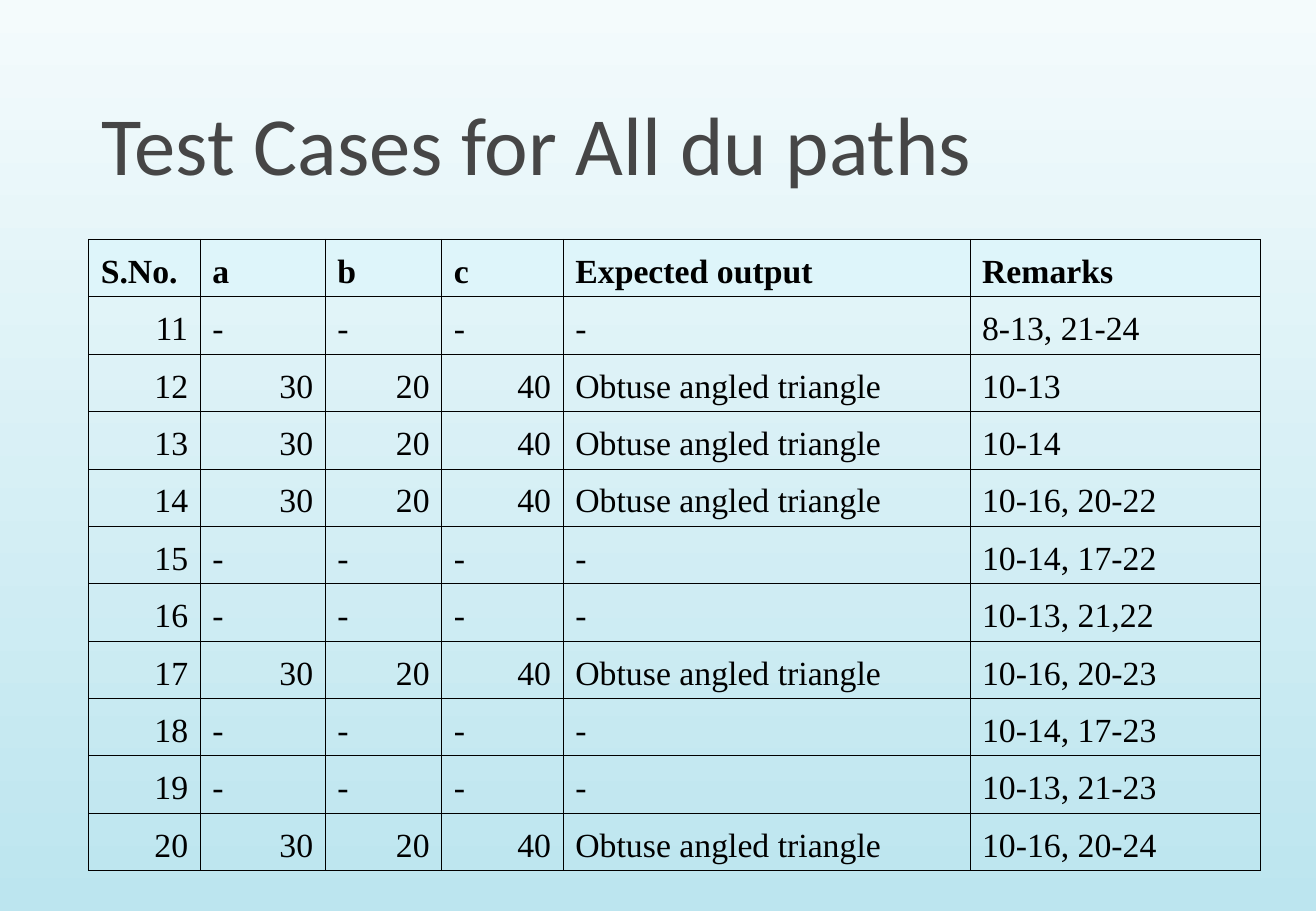
from lxml.etree import SubElement
from pptx import Presentation
from pptx.dml.color import RGBColor
from pptx.enum.text import MSO_ANCHOR, MSO_AUTO_SIZE, PP_ALIGN
from pptx.oxml.ns import qn
from pptx.util import Pt

HEAD = ["S.No.", "a", "b", "c", "Expected output", "Remarks"]
NONE = ["-"] * 4
OBTUSE = ["30", "20", "40", "Obtuse angled triangle"]
CASES = [
    (NONE, "8-13, 21-24"),
    (OBTUSE, "10-13"),
    (OBTUSE, "10-14"),
    (OBTUSE, "10-16, 20-22"),
    (NONE, "10-14, 17-22"),
    (NONE, "10-13, 21,22"),
    (OBTUSE, "10-16, 20-23"),
    (NONE, "10-14, 17-23"),
    (NONE, "10-13, 21-23"),
    (OBTUSE, "10-16, 20-24"),
]
WIDTHS = [66.24, 74.16, 69.12, 72, 241.2, 172.08]
ROW = 34.04


def color(code):
    return RGBColor.from_string(code)


def write(frame, text, font="Times New Roman", size=20, ink="000000",
          bold=False, align=PP_ALIGN.LEFT, hang=0):
    para = frame.paragraphs[0]
    para.text = text
    para.alignment = align
    if hang:
        props = para._p.get_or_add_pPr()
        props.set("marL", str(Pt(hang)))
        props.set("indent", str(-Pt(hang)))
    style = para.runs[0].font
    style.name, style.size, style.bold = font, Pt(size), bold
    style.color.rgb = color(ink)


def paint(slide, top, base):
    fill = slide.background.fill
    fill.gradient()
    fill.gradient_angle = 270
    for stop, code, pos in zip(fill.gradient_stops, (top, base), (0, 1)):
        stop.color.rgb = color(code)
        stop.position = pos


def add_title(slide, text):
    title = slide.shapes.title
    title.left, title.top = Pt(51.84), Pt(12.24)
    title.width, title.height = Pt(695.52), Pt(105.84)
    frame = title.text_frame
    frame.word_wrap = True
    frame.auto_size = MSO_AUTO_SIZE.NONE
    frame.vertical_anchor = MSO_ANCHOR.BOTTOM
    frame.margin_left = frame.margin_right = Pt(8.64)
    frame.margin_top = frame.margin_bottom = Pt(4.32)
    write(frame, text, font="Calibri", size=49, ink="464646")


def rule(cell, code="000000", width=0.45):
    props = cell._tc.get_or_add_tcPr()
    for side in ("lnL", "lnR", "lnT", "lnB"):
        line = SubElement(props, qn(f"a:{side}"), w=str(Pt(width)))
        fill = SubElement(line, qn("a:solidFill"))
        SubElement(fill, qn("a:srgbClr"), val=code)


def fill_cell(cell, text, header):
    cell.vertical_anchor = MSO_ANCHOR.BOTTOM
    cell.margin_left = cell.margin_right = Pt(7.2)
    cell.margin_top = cell.margin_bottom = Pt(3.6)
    rule(cell)
    if header:
        cell.fill.solid()
        cell.fill.fore_color.rgb = color("DEF5FA")
    else:
        cell.fill.background()
    # Numbers sit on the right, all other text on the left
    align = PP_ALIGN.RIGHT if text.isdigit() else PP_ALIGN.LEFT
    write(cell.text_frame, text, bold=header, align=align, hang=29.52)


def add_grid(slide, rows):
    frame = slide.shapes.add_table(
        len(rows), len(WIDTHS), Pt(52.56), Pt(141.84),
        Pt(sum(WIDTHS)), Pt(ROW * len(rows)))
    table = frame.table
    table.horz_banding = False
    for col, width in zip(table.columns, WIDTHS):
        col.width = Pt(width)
    for r, row in enumerate(rows):
        table.rows[r].height = Pt(ROW)
        for c, text in enumerate(row):
            fill_cell(table.cell(r, c), text, header=r == 0)


def main():
    deck = Presentation()
    deck.slide_width, deck.slide_height = Pt(780.48), Pt(540)
    slide = deck.slides.add_slide(deck.slide_layouts[5])

    # Background and title
    paint(slide, "F4FBFC", "BCE5EF")
    add_title(slide, "Test Cases for All du paths")

    # Test cases, numbered from 11
    rows = [[str(num), *values, note]
            for num, (values, note) in enumerate(CASES, 11)]
    add_grid(slide, [HEAD, *rows])

    deck.save("out.pptx")


if __name__ == "__main__":
    main()
